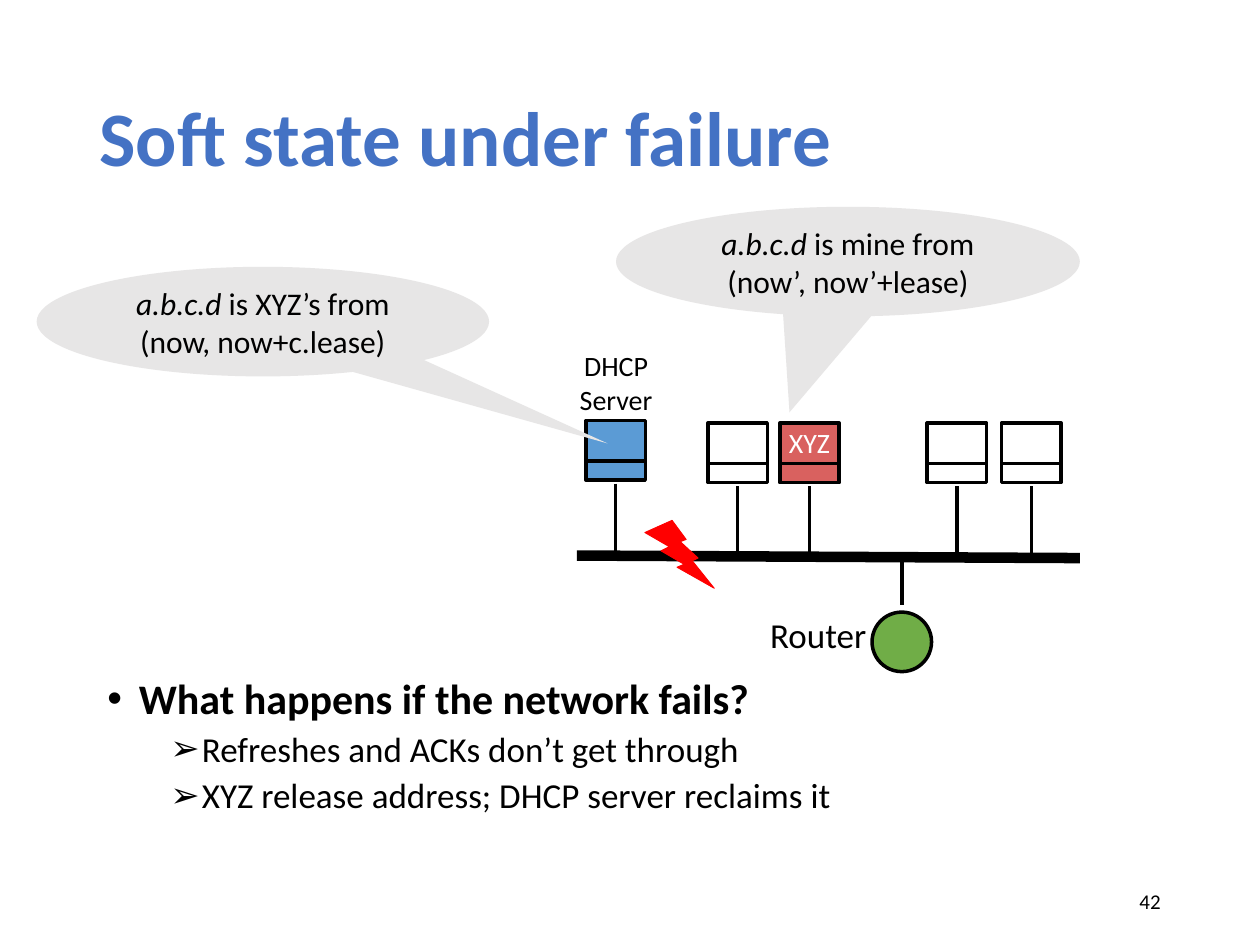
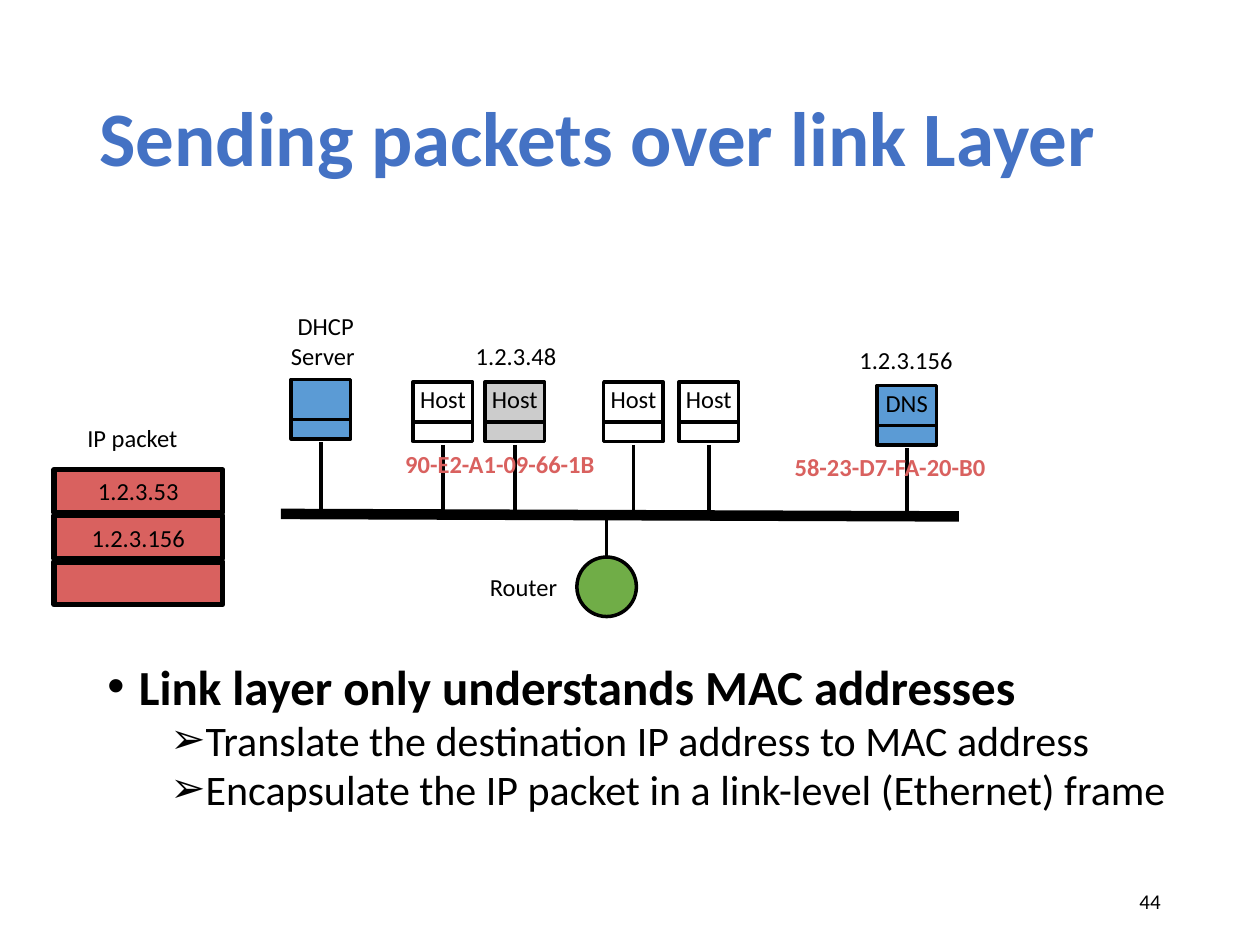
"""Build two slides on DHCP soft state and link-layer addressing."""
from lxml.etree import SubElement
from pptx import Presentation
from pptx.dml.color import RGBColor
from pptx.enum.shapes import MSO_CONNECTOR as Connector, MSO_SHAPE as Shape
from pptx.enum.text import MSO_ANCHOR as Anchor, MSO_AUTO_SIZE as AutoSize, PP_ALIGN as Align
from pptx.oxml.ns import qn
from pptx.util import Cm, Pt

BLACK = RGBColor(0x00, 0x00, 0x00)
WHITE = RGBColor(0xFF, 0xFF, 0xFF)
TITLE_BLUE = RGBColor(0x44, 0x72, 0xC4)
SERVER_BLUE = RGBColor(0x5B, 0x9B, 0xD5)
CORAL = RGBColor(0xD9, 0x61, 0x5F)
ROUTER_GREEN = RGBColor(0x70, 0xAD, 0x47)
CALLOUT_GREY = RGBColor(0xE7, 0xE6, 0xE6)
HOST_GREY = RGBColor(0xCC, 0xCC, 0xCC)
RED = RGBColor(0xFF, 0x00, 0x00)

FONT = "Calibri"
NODE = 1.2
DIVIDER_DROP = 0.81
STEM_START, STEM_END = 1.27, 2.67
BODY_BOTTOM = 16.72


class SlideBuilder:
    def __init__(self):
        self.deck = Presentation()
        self.deck.slide_width, self.deck.slide_height = Cm(25.4), Cm(19.05)
        self.page = None

    def start(self, title, number):
        self.page = self.deck.slides.add_slide(self.deck.slide_layouts[1])
        box = self.page.shapes.title
        self.place(box, 1.75, 1.02, 21.9, 3.68)
        frame = box.text_frame
        frame.text = title
        frame.auto_size = AutoSize.NONE
        frame.vertical_anchor = Anchor.MIDDLE
        frame.paragraphs[0].line_spacing = 0.9
        self.style(frame.paragraphs[0], 44, TITLE_BLUE, Align.LEFT, bold=True)
        footer = self.label(str(number), 17.93, 17.65, 5.72, 12, align=Align.RIGHT)
        footer.height = Cm(1.02)
        footer.text_frame.auto_size = AutoSize.NONE
        footer.text_frame.word_wrap = True
        footer.text_frame.vertical_anchor = Anchor.MIDDLE

    def place(self, box, left, top, width, height):
        box.left, box.top, box.width, box.height = map(Cm, (left, top, width, height))

    def style(self, para, size, color=BLACK, align=Align.CENTER, bold=False):
        para.alignment = align
        for span in para.runs:
            font = span.font
            font.name, font.size, font.bold = FONT, Pt(size), bold
            font.color.rgb = color

    def bullets(self, lines, top, size, line_spacing):
        box = self.page.placeholders[1]
        self.place(box, 1.91, top, 22.02, BODY_BOTTOM - top)
        frame = box.text_frame
        frame.text = "\n".join(lines)
        frame.auto_size = AutoSize.NONE
        for index, para in enumerate(frame.paragraphs):
            is_heading = index == 0
            para.level = 0 if is_heading else 1
            para.line_spacing = line_spacing
            para.space_before = Pt(10 if is_heading else 5)
            self.style(para, size if is_heading else size - 4, align=Align.LEFT, bold=is_heading)
            properties = para._p.get_or_add_pPr()
            properties.set("marL", str(Cm(0.635 if is_heading else 1.905)))
            properties.set("indent", str(-Cm(0.635)))
            SubElement(properties, qn("a:buFont"), typeface="Arial")
            SubElement(properties, qn("a:buChar"), char="•" if is_heading else "➢")

    def label(self, text, left, top, width, size, color=BLACK, align=Align.CENTER, bold=False):
        height = 0.25 + 0.0423 * size * len(text.split("\n"))
        box = self.page.shapes.add_textbox(Cm(left), Cm(top), Cm(width), Cm(height))
        frame = box.text_frame
        frame.word_wrap = False
        frame.auto_size = AutoSize.SHAPE_TO_FIT_TEXT
        frame.paragraphs[0].text = text
        self.style(frame.paragraphs[0], size, color, align, bold)
        return box

    def shape(self, kind, left, top, width, height, fill, line=BLACK, weight=2):
        box = self.page.shapes.add_shape(kind, Cm(left), Cm(top), Cm(width), Cm(height))
        box.shadow.inherit = False
        box.fill.solid()
        box.fill.fore_color.rgb = fill
        if line is None:
            box.line.fill.background()
        else:
            box.line.color.rgb = line
            box.line.width = Pt(weight)
        return box

    def line(self, x1, y1, x2, y2, weight=2):
        link = self.page.shapes.add_connector(Connector.STRAIGHT, Cm(x1), Cm(y1), Cm(x2), Cm(y2))
        link.line.color.rgb = BLACK
        link.line.width = Pt(weight)
        SubElement(link._element.spPr, qn("a:effectLst"))

    def host(self, left, top, fill=WHITE, name=None, size=14, color=BLACK):
        self.shape(Shape.RECTANGLE, left, top, NODE, NODE, fill)
        self.line(left, top + DIVIDER_DROP, left + NODE, top + DIVIDER_DROP)
        center = left + NODE / 2
        self.line(center, top + STEM_START, center, top + STEM_END)
        if name:
            self.label(name, center - 0.8, top - 0.08, 1.6, size, color)

    def bus(self, left, right, top):
        self.line(left, top, right, top + 0.05, weight=6)

    def router(self, left, top, bus_top, link_end):
        center = left + NODE / 2
        self.line(center, bus_top, center, link_end)
        self.shape(Shape.OVAL, left, top, NODE, NODE, ROUTER_GREEN)

    def callout(self, address, claim, left, top, width, tip):
        box = self.shape(Shape.OVAL_CALLOUT, left, top, width, 2.21, CALLOUT_GREY, line=None)
        box.adjustments[0], box.adjustments[1] = tip
        frame = box.text_frame
        frame.word_wrap = True
        frame.vertical_anchor = Anchor.MIDDLE
        para = frame.paragraphs[0]
        for text, italic in ((address, True), (claim, False)):
            span = para.add_run()
            span.text = text
            span.font.italic = italic
        self.style(para, 18)

    def packet(self, left, top, fields):
        for row, text in enumerate(fields):
            box = self.shape(Shape.RECTANGLE, left, top + row * 0.93, 3.4, 0.86, CORAL, weight=3)
            if text:
                box.text_frame.text = text
                self.style(box.text_frame.paragraphs[0], 14)


def build_failure_slide(builder):
    builder.start("Soft state under failure", 42)
    builder.bullets(
        ["What happens if the network fails?",
         "Refreshes and ACKs don’t get through",
         "XYZ release address; DHCP server reclaims it"],
        top=13.54, size=24, line_spacing=0.9)
    builder.bus(11.63, 21.77, 11.2)
    builder.router(17.58, 12.34, bus_top=11.2, link_end=12.19)
    builder.label("Router", 15.24, 12.24, 2.51, 20)
    for left in (14.27, 18.69, 20.19):
        builder.host(left, 8.53)
    builder.host(15.72, 8.53, CORAL, "XYZ", 16, WHITE)
    builder.host(11.81, 8.48, SERVER_BLUE)
    builder.label("DHCP\nServer ", 11.43, 6.91, 1.98, 16)
    builder.shape(Shape.LIGHTNING_BOLT, 13, 10.49, 1.4, 1.37, RED, RED, 0.5)
    builder.callout("a.b.c.d", " is mine from (now’, now’+lease)", 12.42, 4.17, 9.35, (-0.126, 1.375))
    builder.callout("a.b.c.d", " is XYZ’s from (now, now+c.lease)", 0.74, 5.38, 9.12, (0.762, 1.111))


def build_link_layer_slide(builder):
    builder.start("Sending packets over link Layer", 44)
    builder.bullets(
        ["Link layer only understands MAC addresses",
         "Translate the destination IP address to MAC address",
         "Encapsulate the IP packet in a link-level (Ethernet) frame"],
        top=13.34, size=28, line_spacing=0.8)
    builder.bus(5.66, 19.33, 10.36)
    builder.router(11.63, 11.23, bus_top=10.36, link_end=11.35)
    builder.label("Router", 9.55, 11.4, 2.01, 14)
    for left, fill in ((8.33, WHITE), (9.78, HOST_GREY), (12.17, WHITE), (13.69, WHITE)):
        builder.host(left, 7.7, fill, "Host")
    builder.host(5.87, 7.65, SERVER_BLUE)
    builder.host(17.68, 7.77, SERVER_BLUE, "DNS")
    builder.label("DHCP\nServer ", 5.51, 6.15, 2.11, 14)
    builder.label("1.2.3.48", 9.25, 6.76, 2.31, 14)
    builder.label("1.2.3.156", 16.97, 6.83, 2.59, 14)
    for address, left, top in (("58-23-D7-FA-20-B0", 15.77, 8.99), ("90-E2-A1-09-66-1B", 7.92, 8.92)):
        builder.label(address, left, top, 4.37, 14, CORAL, Align.LEFT, bold=True)
    builder.label("IP packet", 1.3, 8.41, 2.74, 14)
    builder.packet(1.09, 9.47, ("1.2.3.53", "1.2.3.156", None))


def main():
    builder = SlideBuilder()
    build_failure_slide(builder)
    build_link_layer_slide(builder)
    builder.deck.save("out.pptx")


if __name__ == "__main__":
    main()
